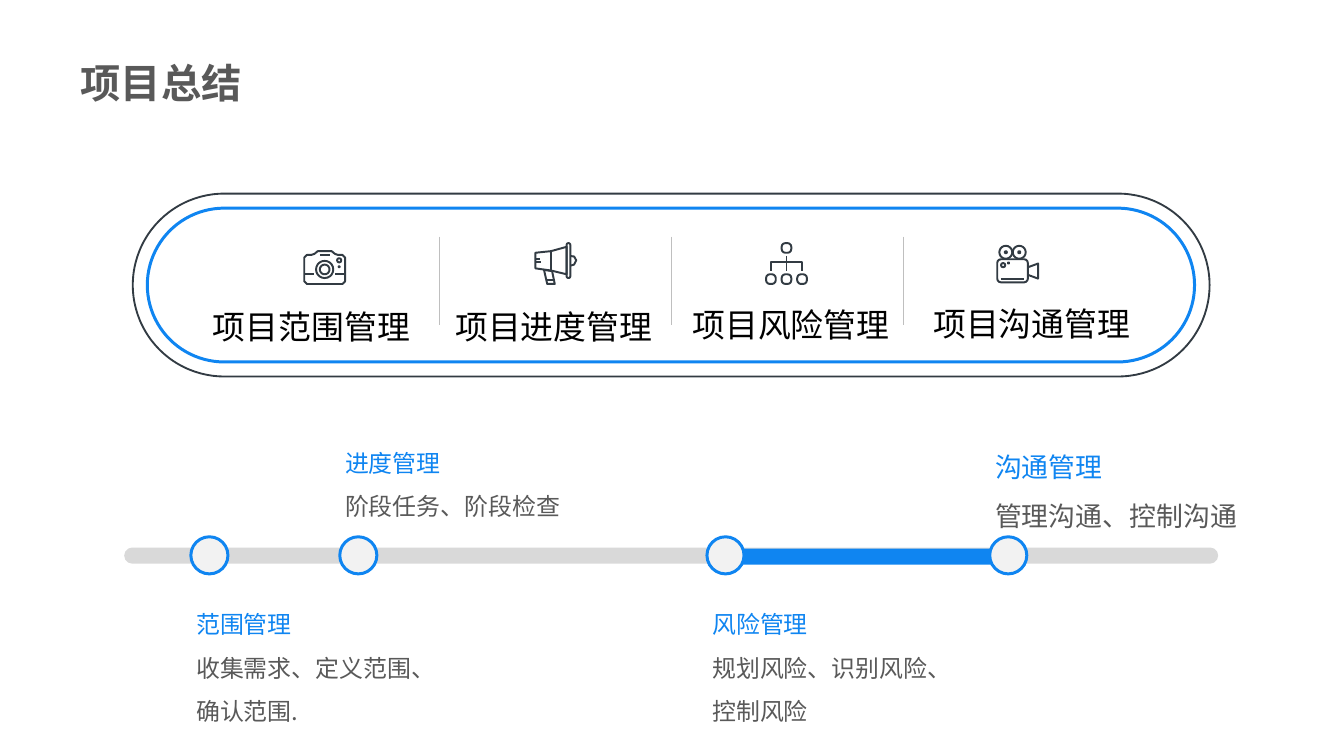
from math import cos, pi, sin

from lxml import etree
from pptx import Presentation
from pptx.dml.color import RGBColor
from pptx.enum.shapes import MSO_CONNECTOR, MSO_SHAPE
from pptx.enum.text import PP_ALIGN
from pptx.oxml.ns import qn
from pptx.util import Inches, Pt

FONT = "Noto Sans CJK SC"
BLUE, DARK, GRAY, BLACK = "0F85F1", "323B43", "595959", "000000"
TRACK, KNOB, DIVIDER = "D9D9D9", "F2F2F2", "BFBFBF"
STROKE = 2.6

TITLE = "项目总结"
LABELS = [
    ("项目范围管理", 3.86, 5.65),
    ("项目进度管理", 8.37, 5.65),
    ("项目风险管理", 12.78, 5.62),
    ("项目沟通管理", 17.26, 5.59),
]
STAGES = [
    (3.55, 11.02, 2.52, 32, ["范围管理", "收集需求、定义范围、", "确认范围."]),
    (6.32, 8.02, 1.72, 32, ["进度管理", "阶段任务、阶段检查"]),
    (13.15, 11.02, 2.52, 32, ["风险管理", "规划风险、识别风险、", "控制风险"]),
    (18.41, 8.02, 1.92, 36, ["沟通管理", "管理沟通、控制沟通"]),
]
DIVIDERS = [8.17, 12.48, 16.8]

CAMERA = {
    "outlines": [[(.02, .14), (.07, .09), (.15, .09), (.21, .07), (.27, .02),
                  (.53, .02), (.59, .07), (.65, .09), (.73, .09), (.78, .14),
                  (.78, .58), (.73, .63), (.07, .63), (.02, .58)]],
    "circles": [(.4, .36, .16), (.4, .36, .09), (.67, .19, .04), (.67, .31, .01)],
    "strokes": [[(.02, .45), (.2, .45)], [(.6, .45), (.78, .45)],
                [(.31, .09), (.49, .09)]],
}
MEGAPHONE = {
    "outlines": [[(.02, .2), (.31, .17), (.6, .09), (.6, .6), (.31, .53), (.02, .49)],
                 [(.18, .52), (.24, .78), (.38, .78), (.33, .54)]],
    "boxes": [(.6, .02, .07, .65)],
    "strokes": [[(.31, .17), (.31, .53)], [(.02, .31), (.1, .31)],
                [(.02, .38), (.13, .38)], [(.22, .71), (.36, .71)],
                [(.67, .26), (.74, .27), (.78, .34), (.74, .42), (.67, .44)]],
}
TREE = {
    "boxes": [(.31, .02, .18, .18)] + [(x, .6, .18, .18) for x in (.02, .31, .6)],
    "strokes": [[(.4, .26), (.4, .53)],
                [(.11, .53), (.11, .38), (.69, .38), (.69, .53)]],
}
VIDEO = {
    "boxes": [(.02, .27, .57, .43)],
    "circles": [(.18, .14, .12), (.43, .14, .12), (.18, .14, .02),
                (.43, .14, .02), (.13, .38, .04), (.23, .34, .01)],
    "strokes": [[(.09, .63), (.52, .63)],
                [(.59, .42), (.78, .35), (.78, .63), (.59, .56)]],
}
ICONS = [(5.64, 4.65, CAMERA), (9.94, 4.5, MEGAPHONE),
         (14.23, 4.5, TREE), (18.53, 4.55, VIDEO)]


def rgb(value):
    return RGBColor.from_string(value)


def paint(shape, fill=None, line=None, width=0):
    shape.shadow.inherit = False
    if fill:
        shape.fill.solid()
        shape.fill.fore_color.rgb = rgb(fill)
    else:
        shape.fill.background()
    if line:
        shape.line.color.rgb = rgb(line)
        shape.line.width = Pt(width)
    else:
        shape.line.fill.background()


def add_shape(s, kind, box, fill=None, line=None, width=0):
    shape = s.shapes.add_shape(kind, *map(Inches, box))
    if kind == MSO_SHAPE.ROUNDED_RECTANGLE:
        shape.adjustments[0] = 0.5
    paint(shape, fill, line, width)


def add_divider(s, x):
    line = s.shapes.add_connector(
        MSO_CONNECTOR.STRAIGHT, *map(Inches, (x, 4.4, x, 6.05)))
    line.line.color.rgb = rgb(DIVIDER)
    line.line.width = Pt(0.75)
    etree.SubElement(line._element.spPr, qn("a:effectLst"))


def arc(x, y, radius, start, sweep, steps):
    angles = [start + sweep * i / steps for i in range(steps + 1)]
    return [(x + radius * cos(a), y + radius * sin(a)) for a in angles]


def circle(x, y, radius):
    return arc(x, y, radius, 0, 2 * pi, 20 if radius > 0.08 else 8)[:-1]


def rounded_box(x, y, w, h):
    radius = min(0.07, w / 2)
    right, bottom = x + w - radius, y + h - radius
    corners = [(right, bottom), (x + radius, bottom),
               (x + radius, y + radius), (right, y + radius)]
    return [point for i, (cx, cy) in enumerate(corners)
            for point in arc(cx, cy, radius, i * pi / 2, pi / 2, 3)]


def add_icon(s, left, top, icon):
    closed = icon.get("outlines", []) + [
        rounded_box(*box) for box in icon.get("boxes", [])] + [
        circle(*ring) for ring in icon.get("circles", [])]
    contours = [(points, True) for points in closed]
    contours += [(points, False) for points in icon["strokes"]]
    builder = None
    for points, close in contours:
        first, *rest = [(Inches(left + x), Inches(top + y)) for x, y in points]
        if builder:
            builder.move_to(*first)
        else:
            builder = s.shapes.build_freeform(*first, scale=1.0)
        builder.add_line_segments(rest, close=close)
    paint(builder.convert_to_shape(), None, DARK, STROKE)


def add_text(s, box, lines, size, colors, spacing, bold=False, align=PP_ALIGN.LEFT):
    tf = s.shapes.add_textbox(*map(Inches, box)).text_frame
    tf.word_wrap = True
    tf.text = "\n".join(lines)
    for p, color in zip(tf.paragraphs, colors):
        p.alignment = align
        p.line_spacing = Pt(round(size * spacing, 1))
        for r in p.runs:
            r.font.size = Pt(size)
            r.font.bold = bold
            r.font.name = FONT
            r.font.color.rgb = rgb(color)
            ea = etree.SubElement(r.font._element, qn("a:ea"))
            ea.set("typeface", FONT)


def main():
    prs = Presentation()
    prs.slide_width, prs.slide_height = Inches(25), Inches(14)
    s = prs.slides.add_slide(prs.slide_layouts[6])
    pill = MSO_SHAPE.ROUNDED_RECTANGLE

    add_shape(s, pill, (2.31, 10.18, 20.35, 0.3), TRACK)
    add_shape(s, pill, (13.59, 10.2, 5, 0.3), BLUE)
    for left, top, height, size, lines in STAGES:
        add_shape(s, MSO_SHAPE.OVAL, (left, 9.98, 0.69, 0.69), KNOB, BLUE, 4)
        add_text(s, (left, top, 5.95, height), lines, size,
                 [BLUE] + [GRAY] * (len(lines) - 1), 1.81)

    add_text(s, (1.4, 0.57, 9.48, 1.46), [TITLE], 54, [GRAY], 1.81, True)

    add_shape(s, pill, (2.47, 3.6, 20.03, 3.4), None, DARK, 2.5)
    add_shape(s, pill, (2.74, 3.87, 19.48, 2.86), None, BLUE, 4)
    for x in DIVIDERS:
        add_divider(s, x)
    for left, top, icon in ICONS:
        add_icon(s, left, top, icon)
    for label, left, top in LABELS:
        add_text(s, (left, top, 3.93, 0.84), [label], 44, [BLACK], 1.2,
                 align=PP_ALIGN.JUSTIFY)

    prs.save("out.pptx")


if __name__ == "__main__":
    main()
